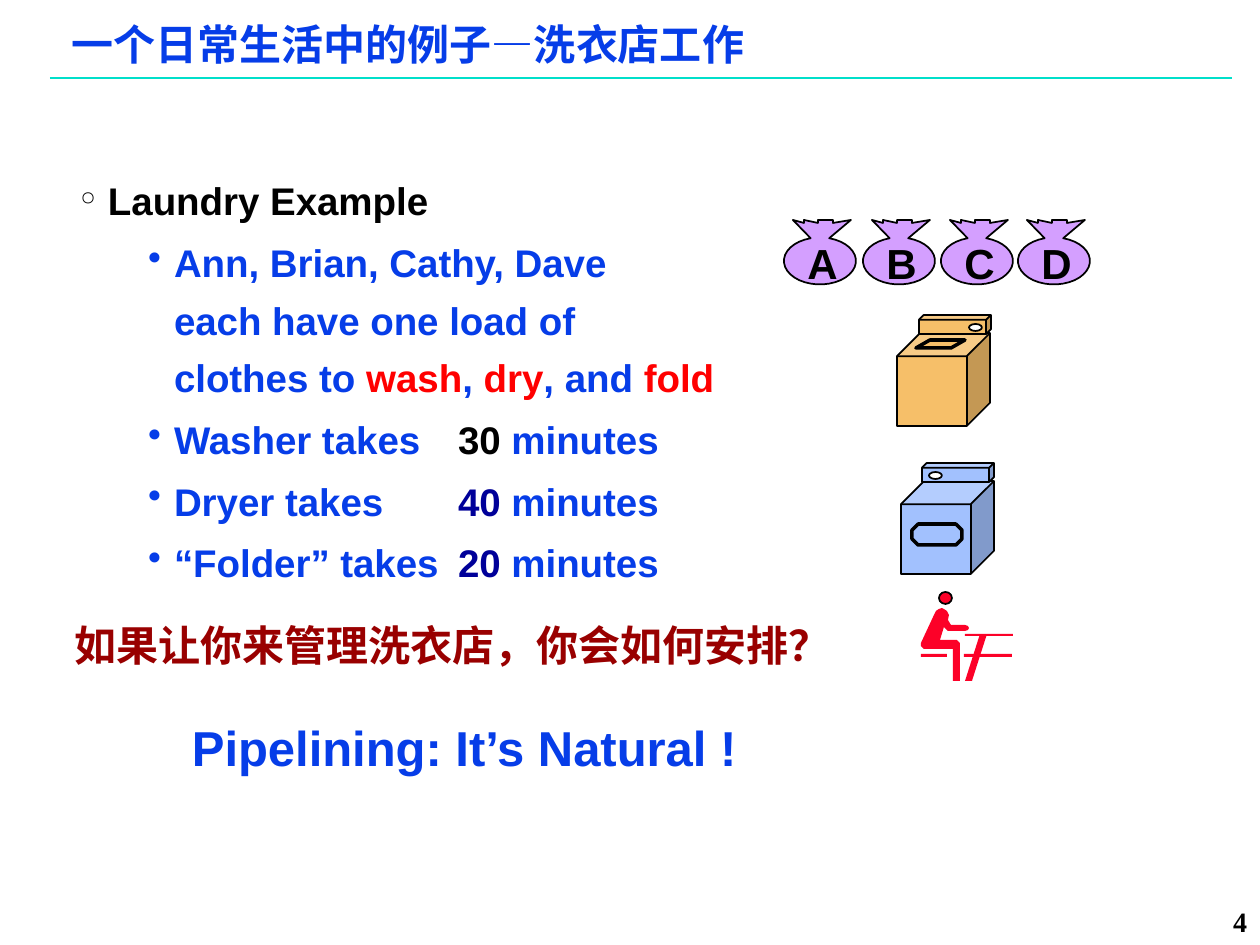
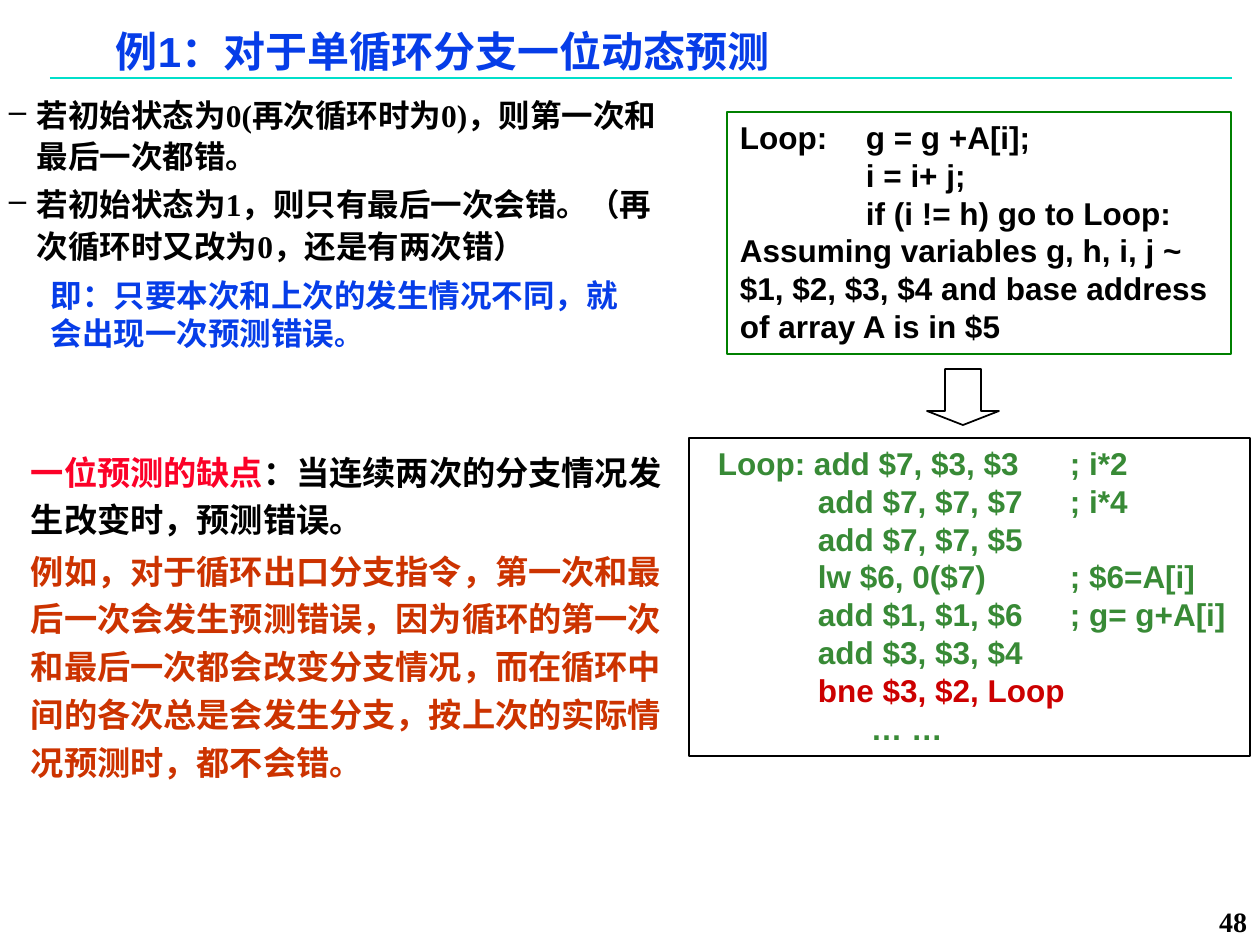
import math
import pptx
import pptx.util
import pptx.dml.color
import pptx.enum.shapes
import pptx.enum.text
import pptx.oxml.ns
import lxml.etree

SCALE = 914400 / 126
SHAPE = pptx.enum.shapes.MSO_SHAPE
ALIGN = pptx.enum.text.PP_ALIGN

COLORS = {
    "black": "000000", "white": "FFFFFF", "blue": "063DE8", "navy": "000099",
    "red": "FF0000", "scarlet": "FC0128", "maroon": "990000", "rust": "CC3300",
    "crimson": "CC0000", "code": "388A36", "frame": "008000", "teal": "00DFCA",
    "washer": "F6BF69", "dryer": "A2C1FE", "bag": "D49FFF",
}

SMALL_MARGINS = (9, 4, 9, 4)
BOX_MARGINS = (13, 6, 13, 6)

TASK = {"bullet": "•", "indent": (94, 26), "tabs": (283, 378)}
LAUNDRY = [
    {"runs": [("Laundry Example", "black")], "bullet": "°", "indent": (28, 28)},
    {"runs": [("Ann, Brian, Cathy, Dave \neach have one load of clothes to ", "blue"),
              ("wash", "red"), (", ", "blue"), ("dry", "red"),
              (", and ", "blue"), ("fold", "red")], **TASK},
] + [
    {"runs": [(f"{worker} takes \t", "blue"), (minutes, color), (" minutes", "blue")], **TASK}
    for worker, minutes, color in [
        ("Washer", "30", "black"), ("Dryer", "40", "navy"), ("“Folder”", "20", "navy")]
]

BAGS = [("A", 784), ("B", 863), ("C", 941), ("D", 1018)]
BAG_TOP = 220
BAG_NECK = [(9, 0), (20, 3), (20, 0), (34, 3), (34, 0), (49, 0), (49, 3), (67, 0)]
BAG_CENTER, BAG_RADII = (36, 41), (36, 23.5)

WASHER = [
    (SHAPE.CUBE, (897, 333, 93, 93), 0.25, "washer", 1),
    (SHAPE.CUBE, (919, 315, 72, 19), 0.25, "washer", 1),
    (SHAPE.PARALLELOGRAM, (916, 340, 49, 8), 1.75, "washer", 2),
    (SHAPE.OVAL, (969, 324, 13, 7), None, "white", 1),
]
DRYER = [
    (SHAPE.CUBE, (901, 481, 93, 93), 0.25, "dryer", 1),
    (SHAPE.CUBE, (922, 463, 72, 19), 0.25, "dryer", 1),
    (SHAPE.OVAL, (929, 472, 13, 7), None, "white", 1),
    (SHAPE.OCTAGON, (912, 524, 50, 21), 0.293, "dryer", 2),
]
FOLDER_HEAD = (SHAPE.OVAL, (939, 592, 13, 12), None, "scarlet", 1)
TABLE_BARS = [(965, 634, 48, 2), (964, 654, 48, 3), (921, 654, 26, 3)]
TABLE_LEG = [(980, 634), (987, 634), (972, 681), (965, 681)]
FOLDER_BODY = [
    (934, 615), (921, 643), (921, 646), (924, 649), (953, 649), (953, 681),
    (960, 681), (960, 643), (957, 640), (940, 640), (944, 627), (948, 631),
    (965, 631), (968, 630), (969, 628), (968, 626), (965, 625), (951, 625),
    (948, 620), (949, 615), (947, 611), (944, 609), (942, 608), (939, 609),
    (936, 611),
]

STATES = [
    {"runs": [(text, "black")], "bullet": "–", "indent": (28, 28)}
    for text in [
        "若初始状态为0(再次循环时为0)，则第一次和最后一次都错。",
        "若初始状态为1，则只有最后一次会错。（再次循环时又改为0，还是有两次错）",
    ]
]
WEAKNESS = [
    {"runs": [("一位预测的缺点", "scarlet"),
              ("：当连续两次的分支情况发生改变时，预测错误。", "black")]},
    {"runs": [("例如，对于循环出口分支指令，第一次和最后一次会发生预测错误，"
               "因为循环的第一次和最后一次都会改变分支情况，而在循环中间的各次"
               "总是会发生分支，按上次的实际情况预测时，都不会错。", "rust")]},
]
LOOP_SOURCE = [
    {"runs": [(text, "black")], "tabs": (126,)}
    for text in [
        "Loop:\tg = g +A[i];", "\ti = i+ j;", "\tif (i != h) go to Loop:",
        "Assuming variables g, h, i, j ~ $1, $2, $3, $4 and base address",
        "of array A is in $5",
    ]
]
ASSEMBLY = [
    {"runs": [(text, color)], "tabs": tabs}
    for text, color, tabs in [
        ("\tLoop: add $7, $3, $3\t; i*2", "code", (26, 378)),
        ("\tadd $7, $7, $7\t; i*4", "code", (126, 378)),
        ("\tadd $7, $7, $5", "code", (126, 378)),
        ("\tlw $6, 0($7)\t; $6=A[i]", "code", (126, 378)),
        ("\tadd $1, $1, $6\t; g= g+A[i]", "code", (126, 378)),
        ("\tadd $3, $3, $4", "code", (126, 378)),
        ("\tbne $3, $2, Loop", "crimson", (126, 378)),
        ("\t… …", "code", (179,)),
    ]
]


def emu(px):
    return round(px * SCALE)


def rgb(name):
    return pptx.dml.color.RGBColor.from_string(COLORS[name])


def add_property(parent, tag, **attributes):
    child = lxml.etree.SubElement(parent, pptx.oxml.ns.qn(tag))
    for name, value in attributes.items():
        child.set(name, str(value))
    return child


def paint(shape, fill=None, line=None, width=1):
    shape.shadow.inherit = False
    if fill:
        shape.fill.solid()
        shape.fill.fore_color.rgb = rgb(fill)
    else:
        shape.fill.background()
    if line:
        shape.line.color.rgb = rgb(line)
        shape.line.width = pptx.util.Pt(width)
    else:
        shape.line.fill.background()


def add_preset(page, kind, area, adjustment=None, fill=None, width=1, line="black"):
    shape = page.shapes.add_shape(kind, *map(emu, area))
    if adjustment is not None:
        shape.adjustments[0] = adjustment
    paint(shape, fill, line, width)
    return shape


def add_outline(page, points, fill, line=None):
    corners = [(emu(x), emu(y)) for x, y in points]
    builder = page.shapes.build_freeform(*corners[0], scale=1.0)
    builder.add_line_segments(corners[1:], close=True)
    paint(builder.convert_to_shape(), fill, line)


def format_paragraph(para, item):
    properties = para._p.get_or_add_pPr()
    if "bullet" in item:
        left, hanging = item["indent"]
        properties.set("marL", str(emu(left)))
        properties.set("indent", str(-emu(hanging)))
        add_property(properties, "a:buChar", char=item["bullet"])
    if "tabs" in item:
        stops = add_property(properties, "a:tabLst")
        for stop in item["tabs"]:
            add_property(stops, "a:tab", pos=emu(stop), algn="l")


def write(shape, items, size, font="Arial", margins=BOX_MARGINS, align=ALIGN.LEFT,
          spacing=None, before=0):
    frame = shape.text_frame
    frame.word_wrap = True
    frame.vertical_anchor = pptx.enum.text.MSO_ANCHOR.TOP
    frame.margin_left, frame.margin_top, frame.margin_right, frame.margin_bottom = map(emu, margins)
    for index, item in enumerate(items):
        para = frame.add_paragraph() if index else frame.paragraphs[0]
        para.alignment = align
        para.line_spacing = spacing
        para.space_before = pptx.util.Pt(size * before)
        for text, color, *own_size in item["runs"]:
            for number, piece in enumerate(text.split("\n")):
                if number:
                    para.add_line_break()
                span = para.add_run()
                span.text = piece
                span.font.name = font
                span.font.bold = True
                span.font.size = pptx.util.Pt(own_size[0] if own_size else size)
                span.font.color.rgb = rgb(color)
        format_paragraph(para, item)


def add_text(page, area, items, size, **style):
    write(page.shapes.add_textbox(*map(emu, area)), items, size, **style)


def line_of(text, color):
    return [{"runs": [(text, color)]}]


def add_page(deck, title, title_area, number):
    page = deck.slides.add_slide(deck.slide_layouts[6])
    rule = page.shapes.add_connector(
        pptx.enum.shapes.MSO_CONNECTOR.STRAIGHT, *map(emu, (50, 78, 1232, 78)))
    rule.line.color.rgb = rgb("teal")
    rule.line.width = pptx.util.Pt(1)
    add_property(rule._element.spPr, "a:effectLst")
    add_text(page, (1113, 898, 147, 47), line_of(number, "black"), 16,
             font="Times New Roman", align=ALIGN.RIGHT)
    add_text(page, title_area, line_of(title, "blue"), 24,
             margins=SMALL_MARGINS, spacing=0.87)
    return page


def add_bag(page, letter, left):
    arc = [
        (BAG_CENTER[0] + BAG_RADII[0] * math.cos(math.radians(angle)),
         BAG_CENTER[1] + BAG_RADII[1] * math.sin(math.radians(angle)))
        for angle in range(-75, 256, 10)
    ]
    add_outline(page, [(left + x, BAG_TOP + y) for x, y in BAG_NECK + arc], "bag", "black")
    add_text(page, (left + 11, BAG_TOP + 12, 55, 63), line_of(letter, "black"), 24,
             margins=(0, 6, 0, 6), align=ALIGN.CENTER)


def build_laundry(deck):
    page = add_page(deck, "一个日常生活中的例子—洗衣店工作", (63, 21, 760, 52), "4")
    add_text(page, (67, 160, 663, 614), LAUNDRY, 22, spacing=1.25, before=0.1)
    for part in WASHER + DRYER + [FOLDER_HEAD]:
        add_preset(page, *part)
    for bar in TABLE_BARS:
        add_preset(page, SHAPE.RECTANGLE, bar, fill="scarlet", line=None)
    for outline in (TABLE_LEG, FOLDER_BODY):
        add_outline(page, outline, "scarlet")
    for letter, left in BAGS:
        add_bag(page, letter, left)
    add_text(page, (179, 711, 580, 72), line_of("Pipelining: It’s Natural !", "blue"), 28)
    add_text(page, (62, 614, 805, 63),
             line_of("如果让你来管理洗衣店，你会如何安排？", "maroon"), 24,
             font="Times New Roman")


def build_prediction(deck):
    page = add_page(deck, "例1：对于单循环分支一位动态预测", (107, 28, 946, 96), "48")
    serif = {"font": "Times New Roman"}
    add_text(page, (0, 88, 675, 183), STATES, 18, margins=SMALL_MARGINS,
             spacing=1.1, before=0.2, **serif)
    assembly_box = add_preset(page, SHAPE.RECTANGLE, (689, 438, 561, 318))
    write(assembly_box, ASSEMBLY, 18, margins=(3, 6, 13, 6))
    source_box = add_preset(page, SHAPE.RECTANGLE, (727, 112, 504, 242), line="frame")
    write(source_box, LOOP_SOURCE, 18)
    add_preset(page, SHAPE.DOWN_ARROW, (927, 369, 72, 56), 0.5).adjustments[1] = 0.25
    summary = [{"runs": [("即：只要本次和上次的发生情况不同，就会出现一次预测错误", "blue"),
                         ("。", "blue", 16)]}]
    add_text(page, (38, 270, 621, 89), summary, 18, **serif)
    add_text(page, (18, 438, 683, 355), WEAKNESS, 19, spacing=1.2, before=0.1, **serif)


def main():
    deck = pptx.Presentation()
    deck.slide_width, deck.slide_height = emu(1260), emu(945)
    build_laundry(deck)
    build_prediction(deck)
    deck.save("out.pptx")


if __name__ == "__main__":
    main()
